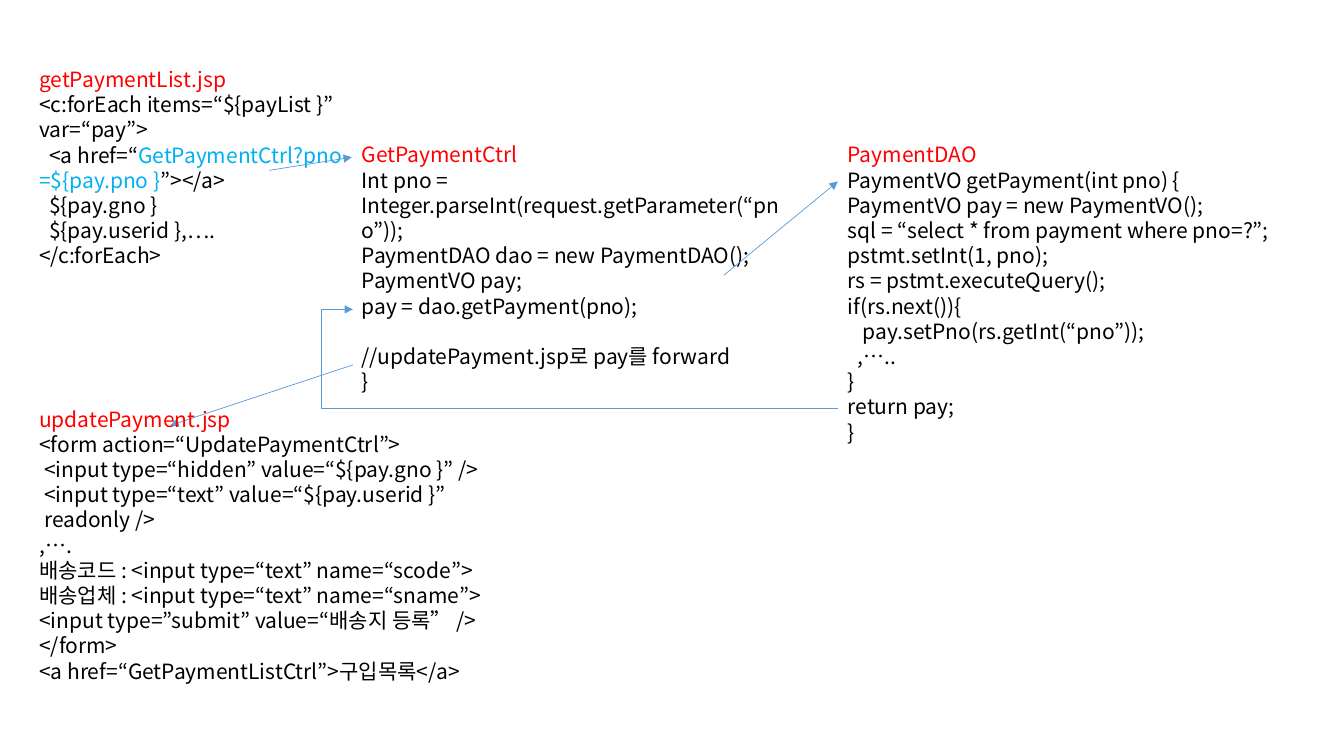
from dataclasses import dataclass

from lxml.etree import SubElement
from pptx import Presentation
from pptx.dml.color import RGBColor
from pptx.enum.shapes import MSO_CONNECTOR
from pptx.enum.text import MSO_AUTO_SIZE, PP_ALIGN
from pptx.oxml.ns import qn
from pptx.util import Inches, Pt

COLORS = {"title": "FF0000", "code": "000000", "link": "00B0F0", "arrow": "5B9BD5"}
FONT = "Noto Sans CJK KR"
FONT_SIZE = Pt(15)
LINE_PITCH = Pt(18)
SPACE_WIDTH = 0.05  # inches per column of code indent


@dataclass
class Line:
    spans: list[tuple[str, str]]  # text and colour key
    indent: int = 0
    gap_before: bool = False


@dataclass
class Listing:
    left: float
    top: float
    width: float
    height: float
    wrap: bool
    title: str
    lines: list[Line]


@dataclass
class Arrow:
    start: tuple[float, float]
    end: tuple[float, float]
    bend: float | None = None  # x of the vertical leg


def code(text: str, indent: int = 0, gap_before: bool = False) -> Line:
    return Line([(text, "code")], indent, gap_before)


LISTINGS = [
    Listing(3.49, 1.36, 4.4, 2.63, True, "GetPaymentCtrl", [
        code("Int pno ="),
        code("Integer.parseInt(request.getParameter(“pno”));"),
        code("PaymentDAO dao = new PaymentDAO();"),
        code("PaymentVO pay;"),
        code("pay = dao.getPayment(pno);"),
        code("//updatePayment.jsp로 pay를 forward", gap_before=True),
        code("}"),
    ]),
    Listing(8.31, 1.36, 4.4, 3.13, True, "PaymentDAO", [
        code("PaymentVO getPayment(int pno) {"),
        code("PaymentVO pay = new PaymentVO();"),
        code("sql = “select * from payment where pno=?”;"),
        code("pstmt.setInt(1, pno);"),
        code("rs = pstmt.executeQuery();"),
        code("if(rs.next()){"),
        code("pay.setPno(rs.getInt(“pno”));", indent=3),
        code(",…..", indent=2),
        code("}"),
        code("return pay;"),
        code("}"),
    ]),
    Listing(0.29, 0.61, 3.22, 2.12, False, "getPaymentList.jsp", [
        code("<c:forEach items=“${payList }”"),
        code("var=“pay”>"),
        Line([("<a href=“", "code"), ("GetPaymentCtrl?pno", "link")], indent=2),
        Line([("=${pay.pno }", "link"), ("”></a>", "code")]),
        code("${pay.gno }", indent=2),
        code("${pay.userid },….", indent=2),
        code("</c:forEach>"),
    ]),
    Listing(0.29, 3.98, 4.68, 2.88, False, "updatePayment.jsp", [
        code("<form action=“UpdatePaymentCtrl”>"),
        code("<input type=“hidden” value=“${pay.gno }” />", indent=1),
        code("<input type=“text” value=“${pay.userid }”", indent=1),
        code("readonly />", indent=1),
        code(",…."),
        code("배송코드 : <input type=“text” name=“scode”>"),
        code("배송업체 : <input type=“text” name=“sname”>"),
        code("<input type=”submit” value=“배송지 등록” />"),
        code("</form>"),
        code("<a href=“GetPaymentListCtrl”>구입목록</a>"),
    ]),
]

ARROWS = [
    Arrow((2.67, 1.69), (3.49, 1.56)),
    Arrow((7.18, 2.73), (8.31, 1.8)),
    Arrow((8.31, 4.05), (3.5, 3.07), bend=3.19),
    Arrow((3.5, 3.62), (1.69, 4.22)),
]


def write_line(paragraph, line: Line) -> None:
    paragraph.alignment = PP_ALIGN.LEFT
    paragraph.line_spacing = LINE_PITCH
    if line.gap_before:
        paragraph.space_before = LINE_PITCH
    if line.indent:
        properties = paragraph._p.get_or_add_pPr()
        properties.set("marL", str(Inches(line.indent * SPACE_WIDTH)))
        properties.set("indent", "0")
    for text, color in line.spans:
        span = paragraph.add_run()
        span.text = text
        span.font.name = FONT
        span.font.size = FONT_SIZE
        span.font.color.rgb = RGBColor.from_string(COLORS[color])
        SubElement(span.font._element, qn("a:ea"), typeface=FONT)


def draw_listing(page, listing: Listing) -> None:
    box = page.shapes.add_textbox(Inches(listing.left), Inches(listing.top),
                                  Inches(listing.width), Inches(listing.height))
    frame = box.text_frame
    frame.word_wrap = listing.wrap
    frame.auto_size = MSO_AUTO_SIZE.SHAPE_TO_FIT_TEXT
    for index, line in enumerate([Line([(listing.title, "title")]), *listing.lines]):
        paragraph = frame.add_paragraph() if index else frame.paragraphs[0]
        write_line(paragraph, line)


def draw_arrow(page, arrow: Arrow) -> None:
    kind = MSO_CONNECTOR.STRAIGHT if arrow.bend is None else MSO_CONNECTOR.ELBOW
    (x1, y1), (x2, y2) = arrow.start, arrow.end
    connector = page.shapes.add_connector(kind, Inches(x1), Inches(y1), Inches(x2), Inches(y2))
    connector.line.color.rgb = RGBColor.from_string(COLORS["arrow"])
    connector.line.width = Pt(0.5)
    SubElement(connector.line._get_or_add_ln(), qn("a:tailEnd"), type="triangle")
    properties = connector._element.spPr
    SubElement(properties, qn("a:effectLst"))
    if arrow.bend is not None:
        ratio = round((arrow.bend - x1) / (x2 - x1) * 100000)
        guides = properties.find(qn("a:prstGeom")).find(qn("a:avLst"))
        SubElement(guides, qn("a:gd"), name="adj1", fmla=f"val {ratio}")


def main() -> None:
    deck = Presentation()
    deck.slide_width, deck.slide_height = Inches(13.33), Inches(7.5)
    page = deck.slides.add_slide(deck.slide_layouts[6])

    # Code of the controller, the data access object and the list page
    *upper_listings, update_form = LISTINGS
    for listing in upper_listings:
        draw_listing(page, listing)

    # Flow of the request between the listings
    for arrow in ARROWS:
        draw_arrow(page, arrow)

    # Code of the update form, in front of its arrow
    draw_listing(page, update_form)

    deck.save("out.pptx")


if __name__ == "__main__":
    main()
